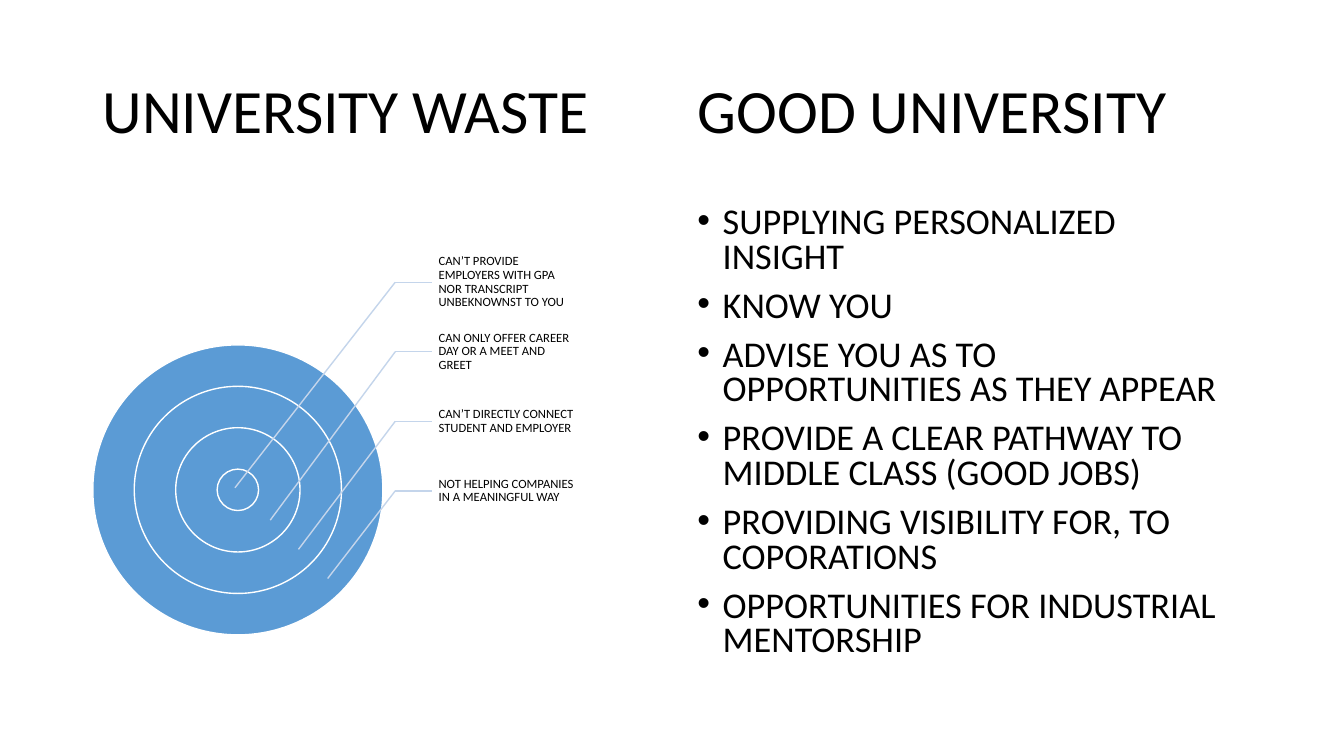
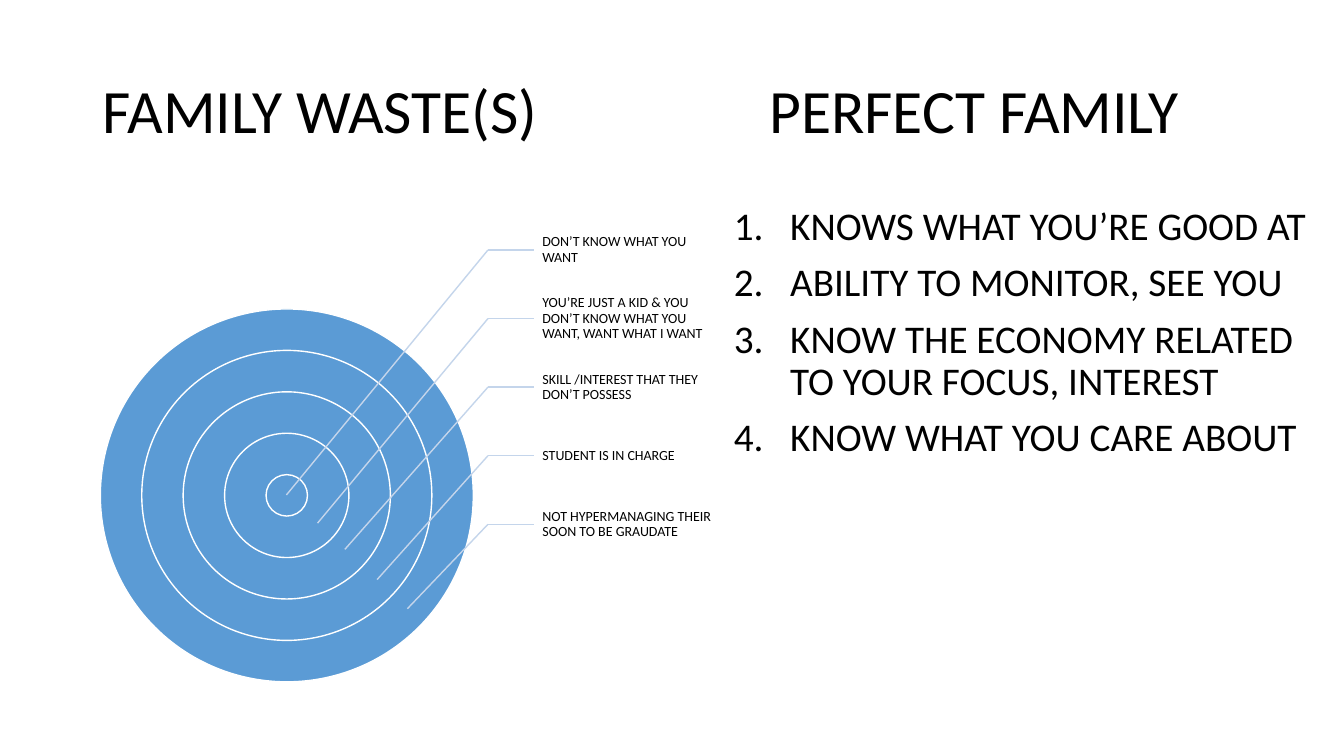
from lxml import etree
from pptx import Presentation
from pptx.dml.color import RGBColor
from pptx.enum.shapes import MSO_CONNECTOR as Link, MSO_SHAPE as Kind
from pptx.enum.text import MSO_ANCHOR as Anchor, MSO_AUTO_SIZE as Fit, PP_ALIGN as Align
from pptx.oxml.ns import qn
from pptx.util import Inches, Pt

FONT = "Calibri"
HEX = {"ink": "000000", "ring": "5B9BD5", "edge": "FFFFFF", "lead": "C4D5EB"}
WIDE, HIGH = Inches(13.33), Inches(7.5)
HEAD_TOP, HEAD_HIGH = 5.33, 19.33
LEFT_HEAD = (6.9, 40.36)
LIST_TOP = 26.67
RING = 5.48

PAGES = [
    {
        "left": "UNIVERSITY WASTE",
        "right": "GOOD UNIVERSITY",
        "head": (51.16, 41.94),
        "list": (51.16, 41.94, 63.47),
        "mark": ("buChar", {"char": "•"}),
        "dent": 0.25, "size": 25.9, "gap": 0.8,
        "items": [
            "SUPPLYING PERSONALIZED INSIGHT",
            "KNOW YOU",
            "ADVISE YOU AS TO OPPORTUNITIES AS THEY APPEAR",
            "PROVIDE A CLEAR PATHWAY TO MIDDLE CLASS (GOOD JOBS)",
            "PROVIDING VISIBILITY FOR, TO COPORATIONS",
            "OPPORTUNITIES FOR INDUSTRIAL MENTORSHIP",
        ],
        "hub": (17.7, 64.8),
        "label": (32.11, 10.8, 9.2), "first": 37.33, "step": 9.2,
        "bend": 29.41, "small": 9, "inset": 0.07,
        "wastes": [
            ("CAN’T PROVIDE EMPLOYERS WITH GPA NOR TRANSCRIPT UNBEKNOWNST TO YOU", (17.48, 64.53)),
            ("CAN ONLY OFFER CAREER DAY OR A MEET AND GREET", (20.11, 68.8)),
            ("CAN’T DIRECTLY CONNECT STUDENT AND EMPLOYER", (22.21, 72.67)),
            ("NOT HELPING COMPANIES IN A MEANINGFUL WAY", (24.38, 76.53)),
        ],
    },
    {
        "left": "FAMILY WASTE(S)",
        "right": "PERFECT FAMILY",
        "head": (56.49, 36.68),
        "list": (53.86, 45.01, 66.27),
        "mark": ("buAutoNum", {"type": "arabicPeriod"}),
        "dent": 0.56, "size": 28, "gap": 0.9,
        "items": [
            "KNOWS WHAT YOU’RE GOOD AT",
            "ABILITY TO MONITOR, SEE YOU",
            "KNOW THE ECONOMY RELATED TO YOUR FOCUS, INTEREST",
            "KNOW WHAT YOU CARE ABOUT",
        ],
        "hub": (21.34, 65.53),
        "label": (39.76, 13.8, 8.67), "first": 33.07, "step": 9.07,
        "bend": 36.31, "small": 10, "inset": 0.08,
        "wastes": [
            ("DON’T KNOW WHAT YOU WANT", (21.31, 65.47)),
            ("YOU’RE JUST A KID & YOU DON’T KNOW WHAT YOU WANT, WANT WHAT I WANT", (23.63, 69.2)),
            ("SKILL /INTEREST THAT THEY DON’T POSSESS", (25.66, 72.67)),
            ("STUDENT IS IN CHARGE", (28.06, 76.67)),
            ("NOT HYPERMANAGING THEIR SOON TO BE GRAUDATE", (30.31, 80.53)),
        ],
    },
]


def across(share):
    return round(WIDE * share / 100)


def down(share):
    return round(HIGH * share / 100)


def tint(name):
    return RGBColor.from_string(HEX[name])


def style(para, size, gap=0.9):
    para.alignment = Align.LEFT
    para.line_spacing = gap
    for run in para.runs:
        run.font.name = FONT
        run.font.size = Pt(size)
        run.font.color.rgb = tint("ink")


def add_box(slide, left, top, wide, high):
    box = slide.shapes.add_textbox(across(left), down(top), across(wide), down(high))
    box.text_frame.word_wrap = True
    return box


def set_head(shape, text):
    frame = shape.text_frame
    frame.text = text
    frame.word_wrap = True
    frame.auto_size = Fit.NONE
    frame.vertical_anchor = Anchor.MIDDLE
    style(frame.paragraphs[0], 44)


def add_heads(slide, page):
    left, wide = page["head"]
    title = slide.shapes.title
    title.left, title.top = across(left), down(HEAD_TOP)
    title.width, title.height = across(wide), down(HEAD_HIGH)
    set_head(title, page["right"])
    left, wide = LEFT_HEAD
    set_head(add_box(slide, left, HEAD_TOP, wide, HEAD_HIGH), page["left"])


def add_mark(para, mark, dent):
    tag, attrs = mark
    props = para._p.get_or_add_pPr()
    props.set("marL", str(Inches(dent)))
    props.set("indent", str(-Inches(dent)))
    font = etree.SubElement(props, qn("a:buFont"))
    font.set("typeface", "Arial" if tag == "buChar" else "+mj-lt")
    etree.SubElement(props, qn("a:" + tag), attrs)


def add_list(slide, page):
    left, wide, high = page["list"]
    frame = add_box(slide, left, LIST_TOP, wide, high).text_frame
    for row, text in enumerate(page["items"]):
        para = frame.add_paragraph() if row else frame.paragraphs[0]
        para.text = text
        add_mark(para, page["mark"], page["dent"])
        style(para, page["size"], page["gap"])
        para.space_before = Pt(10 if row else 0)


def add_rings(slide, hub, count):
    mid_x, mid_y = across(hub[0]), down(hub[1])
    for ring in reversed(range(count)):
        size = down(RING * (2 * ring + 1))
        disc = slide.shapes.add_shape(
            Kind.OVAL, mid_x - size // 2, mid_y - size // 2, size, size)
        disc.shadow.inherit = False
        disc.fill.solid()
        disc.fill.fore_color.rgb = tint("ring")
        disc.line.color.rgb = tint("edge")
        disc.line.width = Pt(1)


def add_line(slide, start, end):
    line = slide.shapes.add_connector(
        Link.STRAIGHT, across(start[0]), down(start[1]), across(end[0]), down(end[1]))
    line.line.color.rgb = tint("lead")
    line.line.width = Pt(1)
    etree.SubElement(line._element.spPr, qn("a:effectLst"))
    return line


def add_label(slide, page, text, mid):
    left, wide, high = page["label"]
    box = add_box(slide, left, mid - high / 2, wide, high)
    frame = box.text_frame
    frame.margin_left = Inches(page["inset"])
    frame.margin_top = frame.margin_right = frame.margin_bottom = Inches(0.01)
    frame.vertical_anchor = Anchor.MIDDLE
    frame.text = text
    style(frame.paragraphs[0], page["small"])
    return box


def add_target(slide, page):
    add_rings(slide, page["hub"], len(page["wastes"]))
    for row, (text, tip) in enumerate(page["wastes"]):
        mid = page["first"] + row * page["step"]
        bend = (page["bend"], mid)
        label = add_label(slide, page, text, mid)
        add_line(slide, bend, (page["label"][0], mid)).end_connect(label, 1)
        add_line(slide, bend, tip)


def main():
    deck = Presentation()
    deck.slide_width, deck.slide_height = WIDE, HIGH
    for page in PAGES:
        slide = deck.slides.add_slide(deck.slide_layouts[5])
        add_heads(slide, page)
        add_list(slide, page)
        add_target(slide, page)
    deck.save("out.pptx")


if __name__ == "__main__":
    main()
